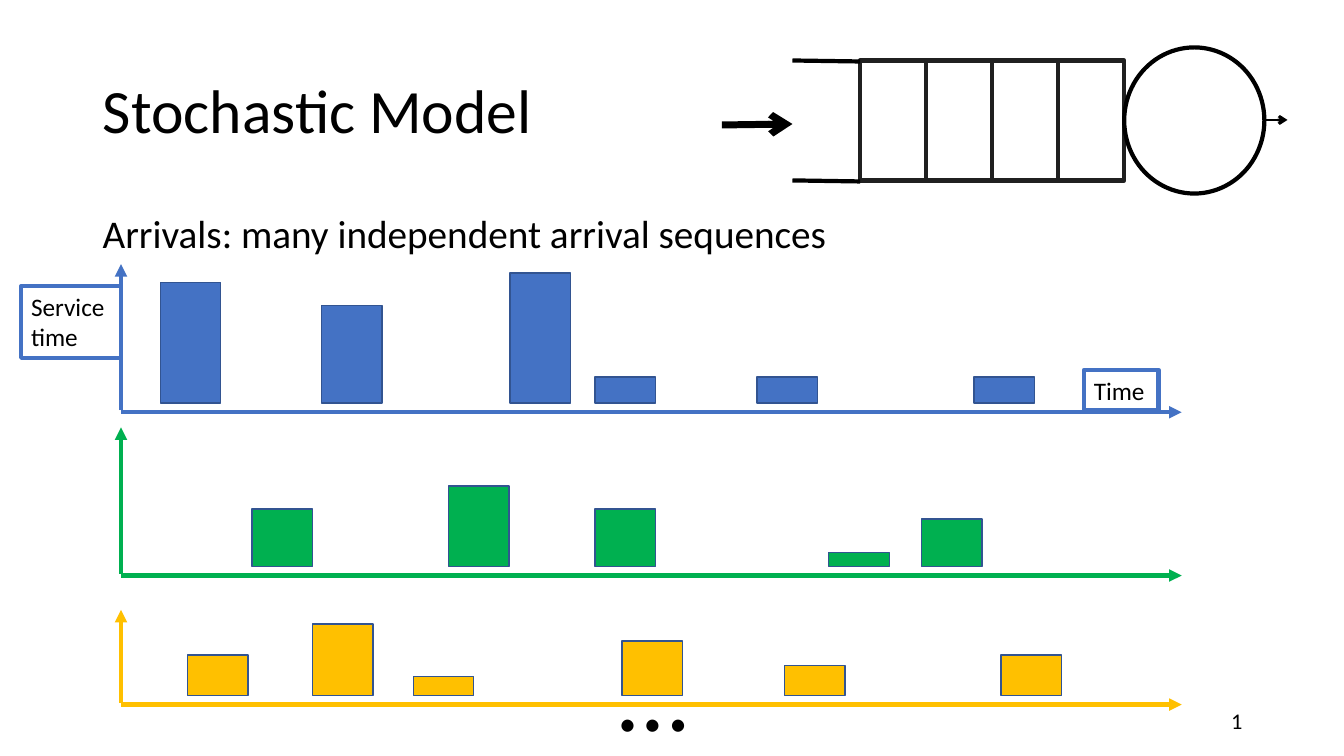
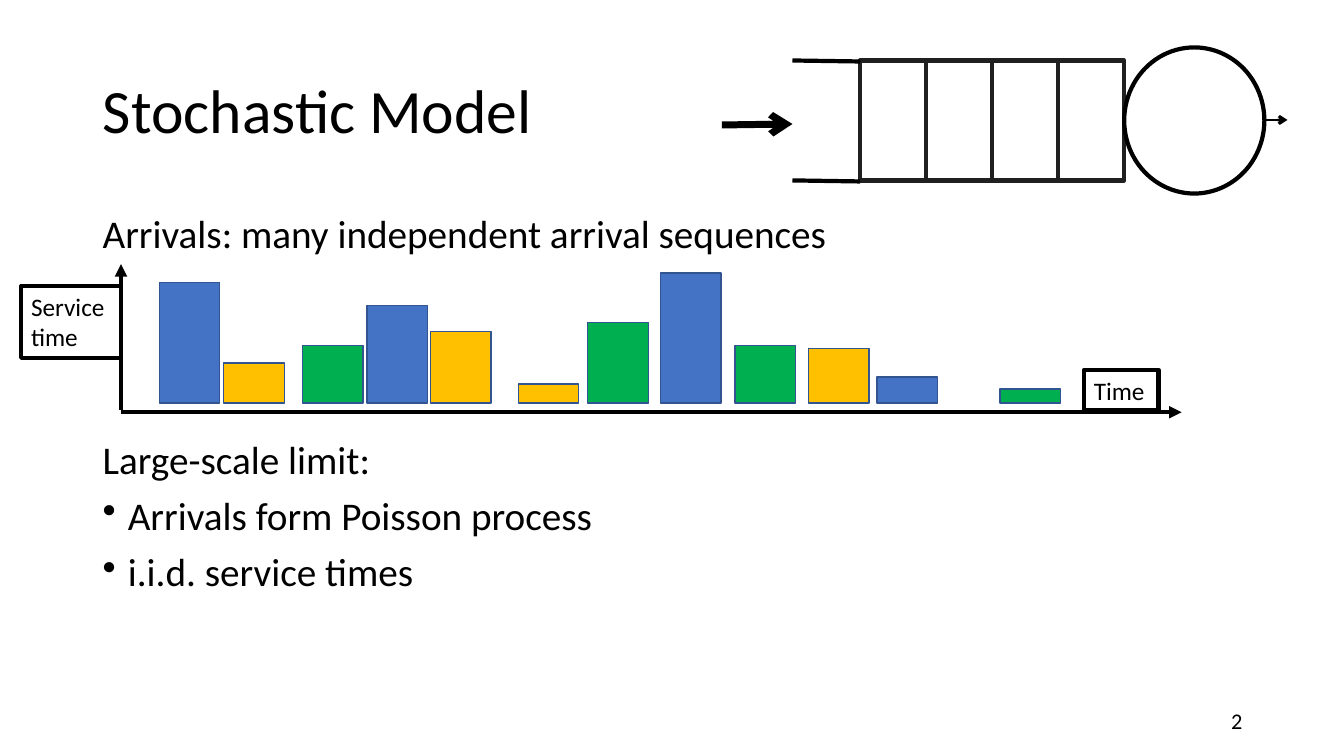
from dataclasses import dataclass

from lxml import etree
from pptx import Presentation
from pptx.dml.color import RGBColor
from pptx.enum.shapes import MSO_CONNECTOR, MSO_SHAPE
from pptx.enum.text import MSO_ANCHOR, MSO_AUTO_SIZE, PP_ALIGN
from pptx.oxml.ns import qn
from pptx.util import Inches, Pt

RECT, OVAL = MSO_SHAPE.RECTANGLE, MSO_SHAPE.OVAL
STRAIGHT = MSO_CONNECTOR.STRAIGHT
LEFT, RIGHT = PP_ALIGN.LEFT, PP_ALIGN.RIGHT
TOP, MIDDLE = MSO_ANCHOR.TOP, MSO_ANCHOR.MIDDLE
FIXED = MSO_AUTO_SIZE.NONE


@dataclass(frozen=True)
class Theme:
    """Colours, type sizes and line widths of the deck."""
    font: str = "Calibri"
    black: str = "000000"
    white: str = "FFFFFF"
    cell: str = "202020"
    edge: str = "325491"
    blue: str = "4472C4"
    green: str = "00B050"
    gold: str = "FFC000"
    head: int = 44
    body: int = 28
    label: int = 18
    page: int = 16
    dots: int = 72
    thin: int = 1
    fine: int = 2
    line: int = 3
    bold: int = 5


THEME = Theme()
COLS, ROWS = 133.3, 75
AXIS_X, AXIS_END = 12, 117.2
BAR_W, BAR_GAP = 6, 0.9
CELL_W = 6.55

INTRO = ("Arrivals: many independent arrival sequences", 0, False)
LIMIT = [
    ("Large-scale limit:", 131, False),
    ("Arrivals form Poisson process", 10, True),
    ("i.i.d. service times", 10, True),
]
FLOWS = [
    (40.9, 14.7, THEME.blue, [(15.9, 12), (31.9, 9.7), (50.6, 12.9),
                              (59, 2.6), (75.1, 2.6), (96.6, 2.6)]),
    (57.1, 14.7, THEME.green, [(25, 5.7), (44.5, 8), (59, 5.7),
                               (82.2, 1.4), (91.4, 4.7)]),
    (69.9, 9.4, THEME.gold, [(18.6, 4), (31, 7.1), (41, 1.9),
                             (61.7, 5.4), (77.8, 3), (99.3, 4)]),
]
MERGED = [
    (THEME.blue, [(15.8, 12), (36.4, 9.7), (65.5, 12.9), (87, 2.6)]),
    (THEME.green, [(30, 5.7), (58.3, 8), (72.9, 5.7), (99.2, 1.4)]),
    (THEME.gold, [(22.2, 4), (42.7, 7.1), (51.4, 1.9), (80.2, 5.4)]),
]


def grid(*cells):
    """Turn grid columns and rows, ten to the inch, into lengths."""
    return [Inches(cell / 10) for cell in cells]


def tint(name):
    """Turn a hex value into a colour."""
    return RGBColor.from_string(name)


class Deck:
    """Hold the theme and the current slide, and draw on it."""

    def __init__(self, theme):
        """Start an empty wide deck."""
        self.theme = theme
        self.show = Presentation()
        self.show.slide_width, self.show.slide_height = grid(COLS, ROWS)
        self.slide = None

    def style(self, para, size, align=LEFT):
        """Set the font and alignment of a paragraph."""
        para.alignment = align
        para.font.name = self.theme.font
        para.font.size = Pt(size)
        para.font.color.rgb = tint(self.theme.black)

    def page(self, title):
        """Add a slide with its title and page number."""
        self.slide = self.show.slides.add_slide(self.show.slide_layouts[5])
        head = self.slide.shapes.title
        head.left, head.top, head.width, head.height = grid(9.2, 4, 115, 14.5)
        frame = head.text_frame
        frame.text = title
        frame.auto_size, frame.vertical_anchor = FIXED, MIDDLE
        para = frame.paragraphs[0]
        para.line_spacing = 0.9
        self.style(para, self.theme.head)
        self.number()

    def number(self):
        """Add the page number as a live field."""
        frame = self.frame(94.2, 69.5, 30, 4)
        frame.vertical_anchor = MIDDLE
        para = frame.paragraphs[0]
        self.style(para, self.theme.page, RIGHT)
        field = etree.SubElement(para._p, qn("a:fld"), type="slidenum",
                                 id="{B6F15528-21DE-4FAA-801E-634DDDAF4B2B}")
        etree.SubElement(field, qn("a:rPr"), lang="en-US")
        mark = etree.SubElement(field, qn("a:t"))
        mark.text = str(len(self.show.slides))

    def frame(self, *area):
        """Add a wrapping text box and return its frame."""
        frame = self.slide.shapes.add_textbox(*grid(*area)).text_frame
        frame.word_wrap = True
        return frame

    def text(self, area, items, size):
        """Add paragraphs given as text, space before and bullet."""
        frame = self.frame(*area)
        for index, (words, gap, dot) in enumerate(items):
            para = frame.add_paragraph() if index else frame.paragraphs[0]
            para.text = words
            if dot:
                props = para._p.get_or_add_pPr()
                props.set("marL", str(Inches(0.25)))
                props.set("indent", str(-Inches(0.25)))
                etree.SubElement(props, qn("a:buChar"), char="•")
            para.space_before = Pt(gap)
            para.line_spacing = 0.9
            self.style(para, size)

    def box(self, area, fill, edge, width, kind=RECT):
        """Add a shape, hollow when it has no fill."""
        shape = self.slide.shapes.add_shape(kind, *grid(*area))
        shape.shadow.inherit = False
        if fill:
            shape.fill.solid()
            shape.fill.fore_color.rgb = tint(fill)
        else:
            shape.fill.background()
        shape.line.color.rgb = tint(edge)
        shape.line.width = Pt(width)
        return shape

    def label(self, area, words, edge):
        """Add a framed label."""
        shape = self.box(area, None, edge, self.theme.line)
        frame = shape.text_frame
        frame.text = words
        frame.word_wrap, frame.vertical_anchor = True, TOP
        self.style(frame.paragraphs[0], self.theme.label)

    def line(self, ends, color, width, tip=None):
        """Add a straight line with an optional arrowhead."""
        line = self.slide.shapes.add_connector(STRAIGHT, *grid(*ends))
        line.line.color.rgb = tint(color)
        line.line.width = Pt(width)
        props = line._element.spPr
        if tip:
            etree.SubElement(props.find(qn("a:ln")), qn("a:tailEnd"), type=tip)
        etree.SubElement(props, qn("a:effectLst"))

    def bars(self, base, color, items):
        """Stand bars, given as left and height, above an axis."""
        for left, tall in items:
            top = base - BAR_GAP - tall
            self.box((left, top, BAR_W, tall), color,
                     self.theme.edge, self.theme.thin)

    def axes(self, base, rise, color):
        """Draw the time axis and the service axis."""
        for ends in ((AXIS_X, base, AXIS_END, base),
                     (AXIS_X, base - 0.2, AXIS_X, base - rise)):
            self.line(ends, color, self.theme.line, "triangle")

    def names(self, base, color):
        """Name both axes."""
        self.label((107.5, base - 4.2, 7.4, 4), "Time", color)
        self.label((2.1, base - 12.5, 9.9, 7.1), "Service time", color)

    def queue(self):
        """Draw the waiting line and its server."""
        look = self.theme
        for index in range(4):
            self.box((85.3 + index * CELL_W, 6, CELL_W, 11.9),
                     look.white, look.cell, look.line)
        self.box((111.5, 4.7, 13.9, 14.5), look.white, look.black,
                 look.line, OVAL)
        for row in (6, 17.9):
            self.line((78.6, row, 85.3, row + 0.1), look.black, look.line)
        self.line((125.4, 11.9, 127.7, 11.9), look.black, look.fine, "arrow")
        self.line((71.6, 12.4, 78.6, 12.3), look.black, look.bold, "arrow")


def main():
    """Build both slides and save them."""
    deck = Deck(THEME)
    base, rise = FLOWS[0][:2]

    deck.page("Stochastic Model")
    for row, tall, color, items in FLOWS:
        deck.bars(row, color, items)
        deck.axes(row, tall, color)
    deck.names(base, THEME.blue)
    deck.text((60.4, 63.4, 8.2, 13.1), [("…", 0, False)], THEME.dots)
    deck.text((9.2, 20.8, 115, 5.5), [INTRO], THEME.body)
    deck.queue()

    deck.page("Stochastic Model")
    deck.text((9.2, 20.8, 115, 41.8), [INTRO, *LIMIT], THEME.body)
    deck.queue()
    for color, items in MERGED:
        deck.bars(base, color, items)
    deck.axes(base, rise, THEME.black)
    deck.names(base, THEME.black)

    deck.show.save("out.pptx")


if __name__ == "__main__":
    main()
